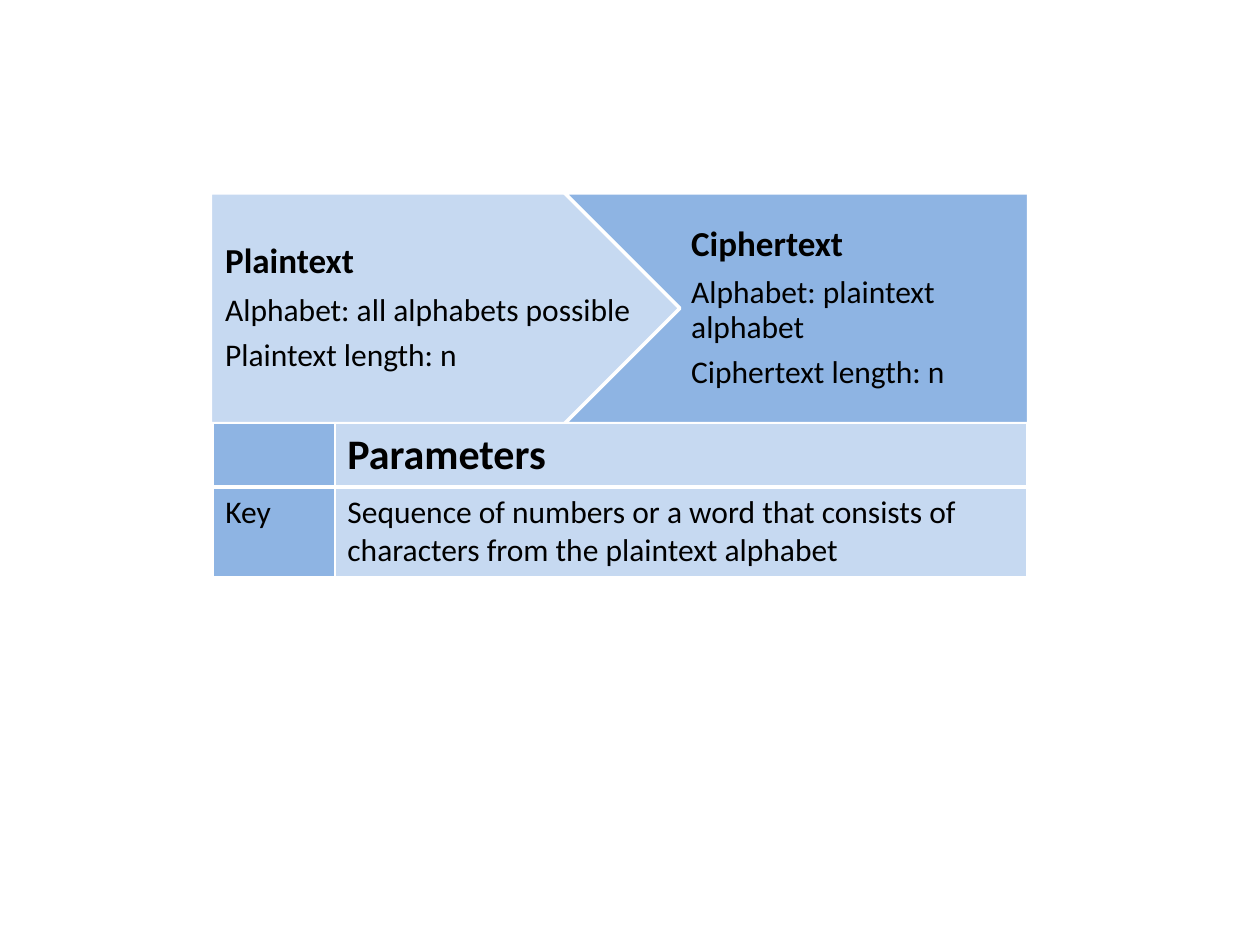
import pptx
import pptx.util
import pptx.dml.color
import pptx.enum.shapes
import pptx.enum.text
import pptx.oxml
import pptx.oxml.ns

Cm, Pt = pptx.util.Cm, pptx.util.Pt
RGBColor = pptx.dml.color.RGBColor
MSO_SHAPE = pptx.enum.shapes.MSO_SHAPE

WHITE = RGBColor(0xFF, 0xFF, 0xFF)
BLACK = RGBColor(0x00, 0x00, 0x00)
PALE_BLUE = RGBColor(0xC6, 0xD9, 0xF1)
MID_BLUE = RGBColor(0x8E, 0xB4, 0xE3)
THIN, THICK = 0.96, 3


class CipherSlide:
    """Holds the style and the slide being filled."""

    font = "Calibri"

    def __init__(self, slide):
        """Remember the slide to draw on."""
        self.slide = slide

    def style(self, paragraph, size, bold):
        """Format every run of a paragraph."""
        for run in paragraph.runs:
            run.font.name = self.font
            run.font.size = Pt(size)
            run.font.bold = bold
            run.font.color.rgb = BLACK

    def block(self, parent, kind, box, fill, outline=None):
        """Add a flat preset shape, with a white outline if a width is given."""
        shape = parent.shapes.add_shape(kind, *(Cm(v) for v in box))
        shape.shadow.inherit = False
        shape.fill.solid()
        shape.fill.fore_color.rgb = fill
        if outline:
            shape.line.color.rgb = WHITE
            shape.line.width = Pt(outline)
        else:
            shape.line.fill.background()
        return shape

    def stage(self, parent, kind, box, fill, inset, lines):
        """Add an arrow with a bold heading above its details."""
        arrow = self.block(parent, kind, box, fill, outline=2)
        arrow.adjustments[0] = 0.5
        frame = arrow.text_frame
        frame.word_wrap = True
        frame.vertical_anchor = pptx.enum.text.MSO_ANCHOR.MIDDLE
        frame.margin_left, frame.margin_right = Cm(inset), Cm(0.08)
        frame.margin_top = frame.margin_bottom = Cm(0.15)
        frame.text = "\n".join(lines)
        for index, paragraph in enumerate(frame.paragraphs):
            heading = index == 0
            paragraph.alignment = pptx.enum.text.PP_ALIGN.LEFT
            paragraph.line_spacing = 0.9
            paragraph.space_after = Pt(7 if heading else 6.3)
            self.style(paragraph, 20 if heading else 18, heading)

    def borders(self, cell, top, bottom):
        """Give a cell white borders; widths are in points."""
        properties = cell._tc.get_or_add_tcPr()
        for side, width in (("L", THIN), ("R", THIN), ("T", top), ("B", bottom)):
            properties.append(pptx.oxml.parse_xml(
                f'<a:ln{side} {pptx.oxml.ns.nsdecls("a")} w="{int(Pt(width))}">'
                f'<a:solidFill><a:srgbClr val="{WHITE}"/></a:solidFill>'
                f'</a:ln{side}>'))

    def table(self, left, top, widths, heights, rows):
        """Add a two-column table with a larger bold header row."""
        grid = self.slide.shapes.add_table(
            len(rows), len(widths), Cm(left), Cm(top),
            Cm(sum(widths)), Cm(sum(heights))).table
        for column, width in zip(grid.columns, widths):
            column.width = Cm(width)
        for r, texts in enumerate(rows):
            header = r == 0
            grid.rows[r].height = Cm(heights[r])
            for c, text in enumerate(texts):
                cell = grid.cell(r, c)
                self.borders(cell, THIN if header else THICK,
                             THICK if header else THIN)
                cell.fill.solid()
                cell.fill.fore_color.rgb = PALE_BLUE if c else MID_BLUE
                cell.text = text
                self.style(cell.text_frame.paragraphs[0],
                           24 if header else 18, header)


def main():
    """Build the cipher overview slide."""
    deck = pptx.Presentation()
    deck.slide_width, deck.slide_height = Cm(25.4), Cm(19.05)
    slide = deck.slides.add_slide(deck.slide_layouts[6])
    cipher = CipherSlide(slide)

    process = slide.shapes.add_group_shape()
    cipher.stage(process, MSO_SHAPE.PENTAGON, (4.24, 3.89, 10.01, 4.65),
                 PALE_BLUE, 0.3,
                 ["Plaintext", "Alphabet: all alphabets possible",
                  "Plaintext length: n"])
    cipher.stage(process, MSO_SHAPE.CHEVRON, (11.38, 3.89, 11.71, 4.65),
                 MID_BLUE, 0.23,
                 ["Ciphertext", "Alphabet: plaintext alphabet",
                  "Ciphertext length: n"])
    cipher.block(slide, MSO_SHAPE.RECTANGLE, (20.7, 2.92, 2.39, 6.2), WHITE)

    cipher.table(4.29, 8.53, (2.46, 13.94), (1.19, 1.04), [
        ("", "Parameters"),
        ("Key", "Sequence of numbers or a word that consists of "
                "characters from the plaintext alphabet"),
    ])
    deck.save("out.pptx")


main()
